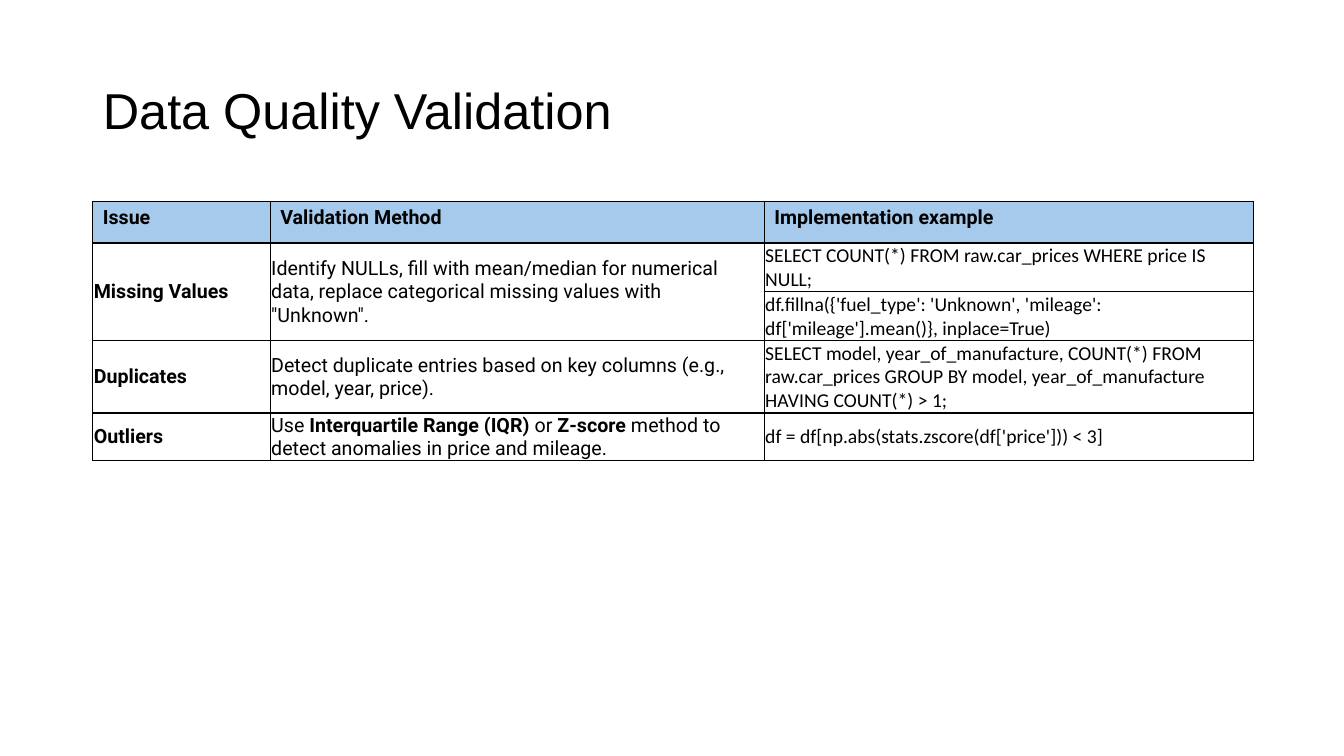
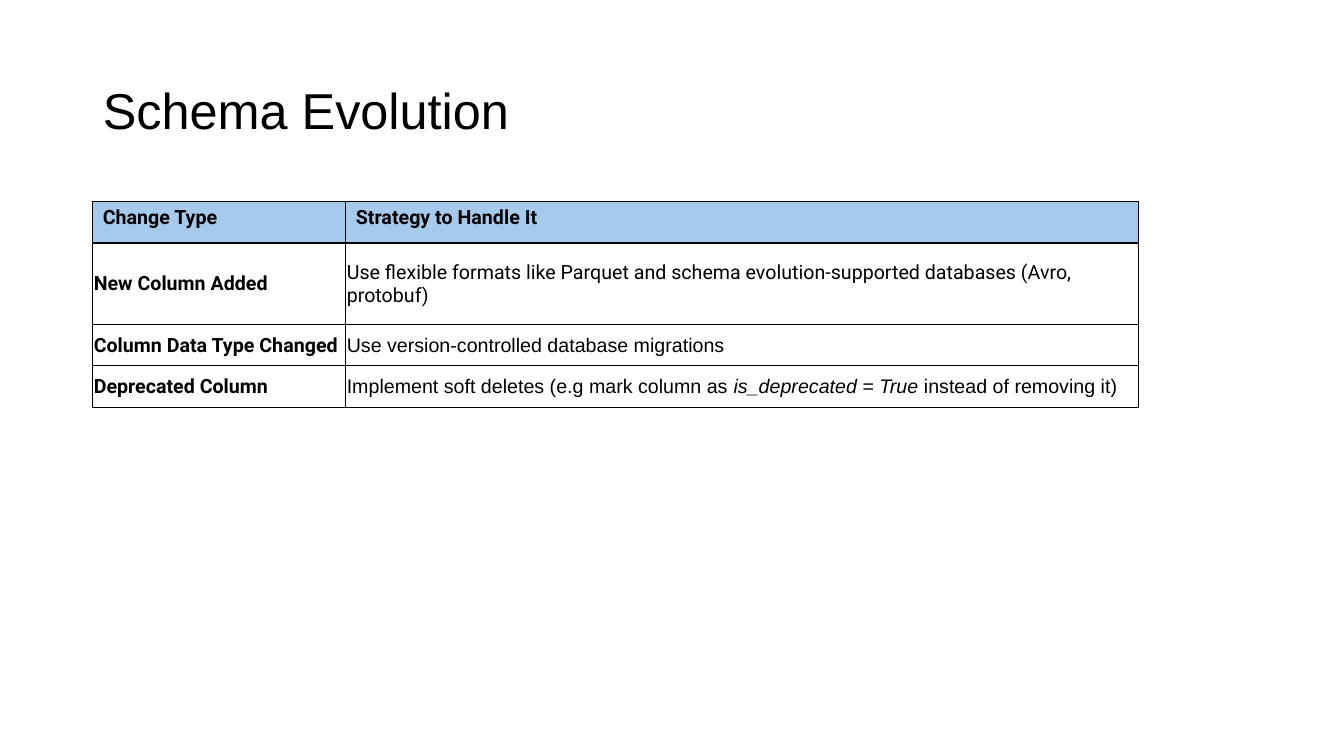
from dataclasses import dataclass
from typing import Optional

from lxml import etree
from pptx import Presentation
from pptx import util as u
from pptx.dml.color import RGBColor
from pptx.enum import text
from pptx.oxml import ns

# Shared style
BLACK, HEADER_BLUE = "000000", "A6CAEC"
TITLE_FONT, TABLE_FONT, CODE_FONT = "Arial", "Roboto", "Calibri"
TITLE_SIZE, TABLE_SIZE = 36, 14
LEFT, TABLE_TOP = 0.92, 2.0
ROW = 0.41
TITLE_ONLY = 5


@dataclass(frozen=True)
class Run:
    text: str
    bold: Optional[bool] = None
    italic: Optional[bool] = None


@dataclass(frozen=True)
class Cell:
    runs: tuple[Run, ...]
    font: str = TABLE_FONT
    bold: bool = False
    header: bool = False


@dataclass(frozen=True)
class TableSlide:
    title: str
    column_widths: tuple[float, ...]
    row_heights: tuple[float, ...]
    rows: tuple[tuple[Optional[Cell], ...], ...]  # None continues the cell above


def header(*labels: str) -> tuple[Cell, ...]:
    return tuple(Cell((Run(label),), bold=True, header=True) for label in labels)


def label(words: str) -> Cell:
    return Cell((Run(words),), bold=True)


def body(words: str, font: str = TABLE_FONT) -> Cell:
    return Cell((Run(words),), font)


def code(words: str) -> Cell:
    return body(words, CODE_FONT)


SLIDES = (
    TableSlide(
        "Data Quality Validation",
        (1.76, 4.9, 4.85),
        (ROW,) * 5,
        (
            header("Issue", "Validation Method", "Implementation example"),
            (
                label("Missing Values"),
                body("Identify NULLs, fill with mean/median for numerical data, "
                     "replace categorical missing values with \"Unknown\"."),
                code("SELECT COUNT(*) FROM raw.car_prices WHERE price IS NULL;"),
            ),
            (
                None,
                None,
                code("df.fillna({'fuel_type': 'Unknown', 'mileage': "
                     "df['mileage'].mean()}, inplace=True)"),
            ),
            (
                label("Duplicates"),
                body("Detect duplicate entries based on key columns "
                     "(e.g., model, year, price)."),
                code("SELECT model, year_of_manufacture, COUNT(*) FROM raw.car_prices "
                     "GROUP BY model, year_of_manufacture HAVING COUNT(*) > 1;"),
            ),
            (
                label("Outliers"),
                Cell((
                    Run("Use "),
                    Run("Interquartile Range (IQR)", bold=True),
                    Run(" or "),
                    Run("Z-score", bold=True),
                    Run(" method to detect anomalies in price and mileage."),
                )),
                code("df = df[np.abs(stats.zscore(df['price'])) < 3]"),
            ),
        ),
    ),
    TableSlide(
        "Schema Evolution",
        (2.51, 7.86),
        (ROW, 0.81, ROW, ROW),
        (
            header("Change Type", "Strategy to Handle It"),
            (
                label("New Column Added"),
                body("Use flexible formats like Parquet and schema "
                     "evolution-supported databases (Avro, protobuf)"),
            ),
            (
                label("Column Data Type Changed"),
                body("Use version-controlled database migrations", TITLE_FONT),
            ),
            (
                label("Deprecated Column"),
                Cell((
                    Run("Implement soft deletes (e.g mark column as "),
                    Run("is_deprecated = True ", italic=True),
                    Run("instead of removing it)"),
                ), TITLE_FONT),
            ),
        ),
    ),
)


def color(value: str) -> RGBColor:
    return RGBColor.from_string(value)


def set_font(font, name: str, size: float, bold: bool = False) -> None:
    font.name, font.size, font.bold = name, u.Pt(size), bold
    font.color.rgb = color(BLACK)


def add_title(slide, words: str) -> None:
    title = slide.shapes.title
    title.left, title.top = u.Inches(LEFT), u.Inches(0.4)
    title.width, title.height = u.Inches(11.5), u.Inches(1.45)
    frame = title.text_frame
    frame.text = words
    frame.word_wrap = True
    frame.auto_size = text.MSO_AUTO_SIZE.NONE
    frame.vertical_anchor = text.MSO_ANCHOR.MIDDLE
    paragraph = frame.paragraphs[0]
    paragraph.alignment = text.PP_ALIGN.LEFT
    paragraph.line_spacing = 0.9
    set_font(paragraph.font, TITLE_FONT, TITLE_SIZE)


def add_borders(table_cell) -> None:
    properties = table_cell._tc.get_or_add_tcPr()
    for side in ("lnL", "lnR", "lnT", "lnB"):
        line = etree.SubElement(properties, ns.qn(f"a:{side}"), w=str(u.Pt(1)))
        fill = etree.SubElement(line, ns.qn("a:solidFill"))
        etree.SubElement(fill, ns.qn("a:srgbClr"), val=BLACK)


def fill_cell(table_cell, cell: Cell) -> None:
    if cell.header:
        table_cell.fill.solid()
        table_cell.fill.fore_color.rgb = color(HEADER_BLUE)
    else:
        table_cell.vertical_anchor = text.MSO_ANCHOR.MIDDLE
        table_cell.margin_left = table_cell.margin_right = u.Inches(0.01)
        table_cell.margin_top, table_cell.margin_bottom = u.Inches(0.01), 0
    paragraph = table_cell.text_frame.paragraphs[0]
    set_font(paragraph.font, cell.font, TABLE_SIZE, cell.bold)
    for part in cell.runs:
        run = paragraph.add_run()
        run.text = part.text
        run.font.bold, run.font.italic = part.bold, part.italic


def add_table(slide, content: TableSlide) -> None:
    widths, heights = content.column_widths, content.row_heights
    table = slide.shapes.add_table(
        len(heights), len(widths), u.Inches(LEFT), u.Inches(TABLE_TOP),
        u.Inches(sum(widths)), u.Inches(sum(heights))).table
    table.first_row = table.horz_banding = False
    for column, width in zip(table.columns, widths):
        column.width = u.Inches(width)
    for row, height in zip(table.rows, heights):
        row.height = u.Inches(height)
    for row_index, row in enumerate(content.rows):
        for column_index, cell in enumerate(row):
            table_cell = table.cell(row_index, column_index)
            add_borders(table_cell)
            table_cell.fill.background()
            if cell is None:
                table.cell(row_index - 1, column_index).merge(table_cell)
            else:
                fill_cell(table_cell, cell)


def main() -> None:
    presentation = Presentation()
    presentation.slide_width = u.Inches(13.33)
    presentation.slide_height = u.Inches(7.5)
    for content in SLIDES:
        slide = presentation.slides.add_slide(presentation.slide_layouts[TITLE_ONLY])
        add_title(slide, content.title)
        add_table(slide, content)
    presentation.save("out.pptx")


if __name__ == "__main__":
    main()
